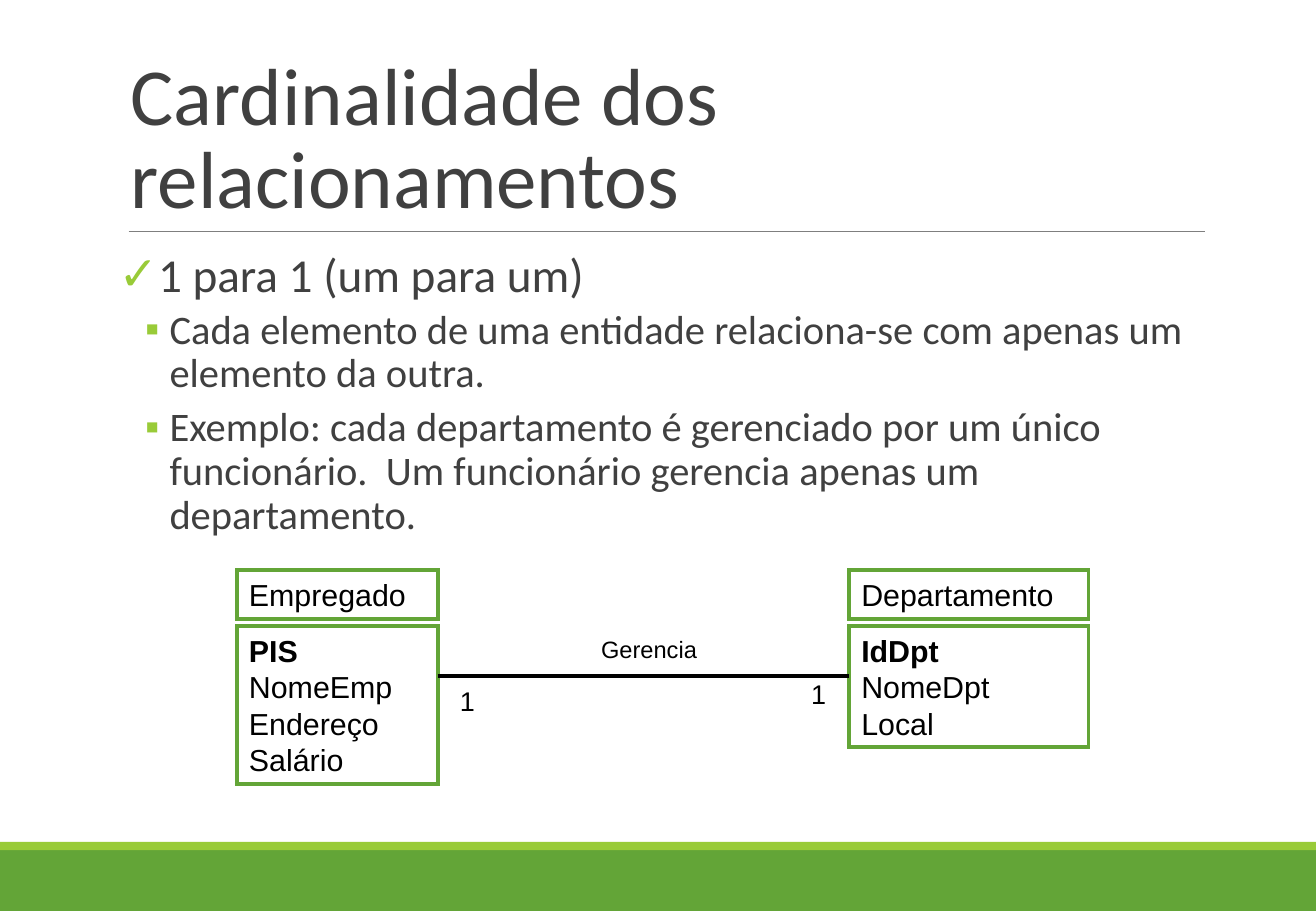
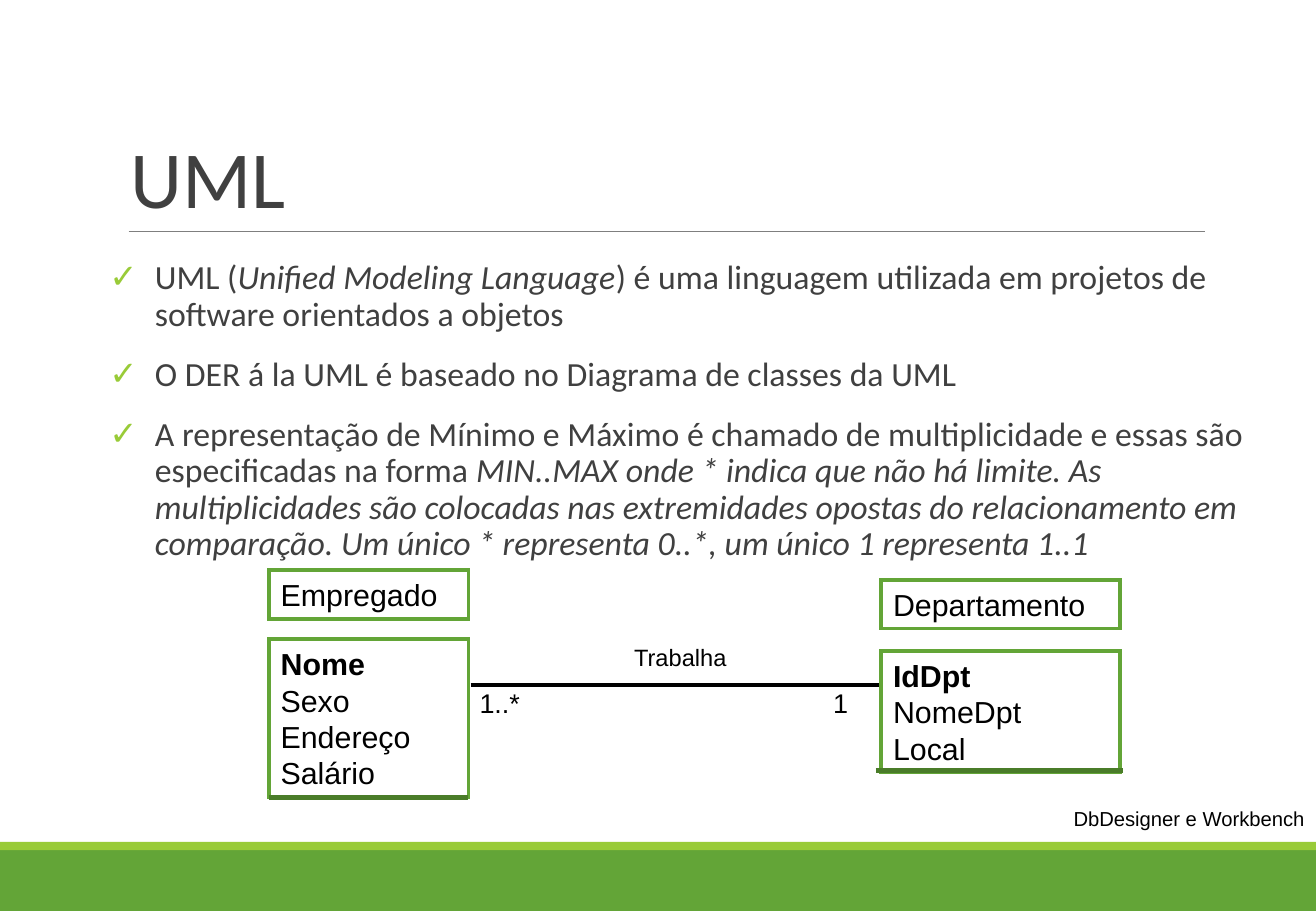
"""Build two slides on relationship cardinality and UML notation."""
import pptx
import pptx.dml.color
import pptx.enum.shapes
import pptx.enum.text
import pptx.oxml
import pptx.oxml.ns
import pptx.util

Pt = pptx.util.Pt
ANCHOR = pptx.enum.text.MSO_ANCHOR
AUTO_SIZE = pptx.enum.text.MSO_AUTO_SIZE

WIDTH, HEIGHT = 780.13, 540
COLORS = {"band": "63A537", "stripe": "99CB38", "rule": "7F7F7F",
          "text": "404040", "ink": "000000", "underline": "4A7C29"}
BANDS = [("band", 504, 36), ("stripe", 499, 5)]
TITLE_BOX = (70.3, 22.3, 682.5, 114.5)
TITLE_RULE = (76.3, 137, 714.2)

BULLETS = {
    "topic": dict(level=0, char="✓", left=7.2, hang=7.2, size=28, before=12, after=2),
    "detail": dict(level=1, char="▪", left=30.2, hang=14.4, size=24, before=2, after=4),
    "point": dict(level=0, char="✓", left=27, hang=27, size=20, before=12, after=2),
}

SLIDES = [
    {
        "title": "Cardinalidade dos relacionamentos",
        "body_box": (70.3, 145.4, 643.7, 316.8),
        "body": [
            ("topic", ["1 para 1 (um para um)"]),
            ("detail", ["Cada elemento de uma entidade relaciona-se com apenas um "
                        "elemento da outra."]),
            ("detail", ["Exemplo: cada departamento é gerenciado por um único "
                        "funcionário.  Um funcionário gerencia apenas um departamento."]),
        ],
        "entities": [
            ("Empregado", ["PIS", "NomeEmp", "Endereço", "Salário"],
             140.5, 119, 338, 371),
            ("Departamento", ["IdDpt", "NomeDpt", "Local"],
             503.5, 141.8, 338, 371),
        ],
        "lines": [(259.5, 400.5, 503.5, "ink", 2.25)],
        "labels": [
            ("Gerencia", 349.2, 372.5, 71.3, 14),
            ("1", 473.8, 398, 23, 16),
            ("1", 265.5, 402.5, 23, 16),
        ],
    },
    {
        "title": "UML",
        "body_box": (64.8, 151, 682.5, 199.4),
        "body": [
            ("point", ["UML (", "Unified Modeling Language",
                       ") é uma linguagem utilizada em projetos de software "
                       "orientados a objetos"]),
            ("point", ["O DER á la UML é baseado no Diagrama de classes da UML"]),
            ("point", ["A representação de Mínimo e Máximo é chamado de multiplicidade "
                       "e essas são especificadas na forma ",
                       "MIN..MAX onde * indica que não há limite. As multiplicidades "
                       "são colocadas nas extremidades opostas do relacionamento em "
                       "comparação. Um único * representa 0..*, um único 1 "
                       "representa 1..1"]),
        ],
        "entities": [
            ("Empregado", ["Nome", "Sexo", "Endereço", "Salário"],
             159.3, 118.5, 338, 379),
            ("Departamento", ["IdDpt", "NomeDpt", "Local"],
             522.3, 141.8, 343.8, 386),
        ],
        "lines": [
            (279, 406.2, 521.3, "ink", 2.25),
            (159.3, 473, 277.4, "underline", 3),
            (519.3, 456.5, 665.5, "underline", 3),
        ],
        "labels": [
            ("Trabalha", 368.8, 377.5, 69.8, 14),
            ("1", 486.8, 403.3, 23, 16),
            ("1..*", 277.2, 403.3, 38.2, 16),
            ("DbDesigner e Workbench", 629.3, 474.7, 151.9, 12),
        ],
    },
]


def rgb(name):
    return pptx.dml.color.RGBColor.from_string(COLORS[name])


def style(font, face, size, color):
    font.name, font.size = face, Pt(size)
    font.color.rgb = rgb(color)


def place(shape, box):
    shape.left, shape.top, shape.width, shape.height = map(Pt, box)


def add_xml(parent, tag, **attributes):
    child = pptx.oxml.parse_xml(f'<a:{tag} {pptx.oxml.ns.nsdecls("a")}/>')
    for key, value in attributes.items():
        child.set(key, value)
    parent.append(child)
    return child


def add_rect(slide, box):
    rect = slide.shapes.add_shape(
        pptx.enum.shapes.MSO_SHAPE.RECTANGLE, *map(Pt, box))
    rect.shadow.inherit = False
    return rect


def add_line(slide, start, y, end, color, weight):
    line = slide.shapes.add_connector(
        pptx.enum.shapes.MSO_CONNECTOR.STRAIGHT, Pt(start), Pt(y), Pt(end), Pt(y))
    line.line.color.rgb = rgb(color)
    line.line.width = Pt(weight)
    add_xml(line.element.spPr, "effectLst")
    return line


def decorate_layout(layout, slide):
    """Draw the shared bands and rule, then move them into the layout."""
    place(layout.placeholders[0], TITLE_BOX)
    decorations = []
    for color, top, height in BANDS:
        band = add_rect(slide, (0, top, WIDTH, height))
        band.fill.solid()
        band.fill.fore_color.rgb = rgb(color)
        band.line.fill.background()
        decorations.append(band)
    decorations.append(add_line(slide, *TITLE_RULE, "rule", 0.5))
    for decoration in decorations:
        layout.shapes.element.append(decoration.element)


def fill_title(title, text):
    frame = title.text_frame
    frame.text = text
    frame.auto_size = AUTO_SIZE.NONE
    frame.vertical_anchor = ANCHOR.BOTTOM
    heading = frame.paragraphs[0]
    heading.alignment = pptx.enum.text.PP_ALIGN.LEFT
    heading.line_spacing = 0.85
    style(heading.runs[0].font, "Calibri", 48, "text")


def fill_body(body, box, items):
    place(body, box)
    frame = body.text_frame
    frame.auto_size = AUTO_SIZE.NONE
    frame.margin_left = frame.margin_right = 0
    for index, (kind, parts) in enumerate(items):
        rule = BULLETS[kind]
        item = frame.add_paragraph() if index else frame.paragraphs[0]
        item.level = rule["level"]
        properties = item._p.get_or_add_pPr()
        properties.set("marL", str(Pt(rule["left"])))
        properties.set("indent", str(-Pt(rule["hang"])))
        add_xml(add_xml(properties, "buClr"), "srgbClr", val=COLORS["stripe"])
        add_xml(properties, "buChar", char=rule["char"])
        item.line_spacing = 0.9
        item.space_before = Pt(rule["before"] if index else 0)
        item.space_after = Pt(rule["after"])
        for order, part in enumerate(parts):
            run = item.add_run()
            run.text = part
            style(run.font, "Calibri", rule["size"], "text")
            run.font.italic = order % 2 == 1


def add_compartment(slide, lines, left, top, width, key=False):
    box = add_rect(slide, (left, top, width, 7.2 + 21.6 * len(lines)))
    box.fill.background()
    box.line.color.rgb = rgb("band")
    box.line.width = Pt(2.25)
    add_xml(box.line._ln, "miter", lim="800000")
    frame = box.text_frame
    frame.text = "\n".join(lines)
    frame.vertical_anchor = ANCHOR.TOP
    for index, attribute in enumerate(frame.paragraphs):
        attribute.alignment = pptx.enum.text.PP_ALIGN.LEFT
        style(attribute.runs[0].font, "Arial", 18, "ink")
        attribute.runs[0].font.bold = key and index == 0


def add_label(slide, text, left, top, width, size):
    label = slide.shapes.add_textbox(
        Pt(left), Pt(top), Pt(width), Pt(7.2 + 1.2 * size))
    label.text_frame.text = text
    label.text_frame.word_wrap = False
    style(label.text_frame.paragraphs[0].runs[0].font, "Arial", size, "ink")


def main():
    deck = pptx.Presentation()
    deck.slide_width, deck.slide_height = Pt(WIDTH), Pt(HEIGHT)
    layout = deck.slide_layouts[1]
    for number, content in enumerate(SLIDES):
        slide = deck.slides.add_slide(layout)
        if number == 0:
            decorate_layout(layout, slide)
        fill_title(slide.shapes.title, content["title"])
        fill_body(slide.placeholders[1], content["body_box"], content["body"])
        for name, attributes, left, width, name_top, attributes_top in content["entities"]:
            add_compartment(slide, [name], left, name_top, width)
            add_compartment(slide, attributes, left, attributes_top, width, key=True)
        for line in content["lines"]:
            add_line(slide, *line)
        for label in content["labels"]:
            add_label(slide, *label)
    deck.save("out.pptx")


if __name__ == "__main__":
    main()
